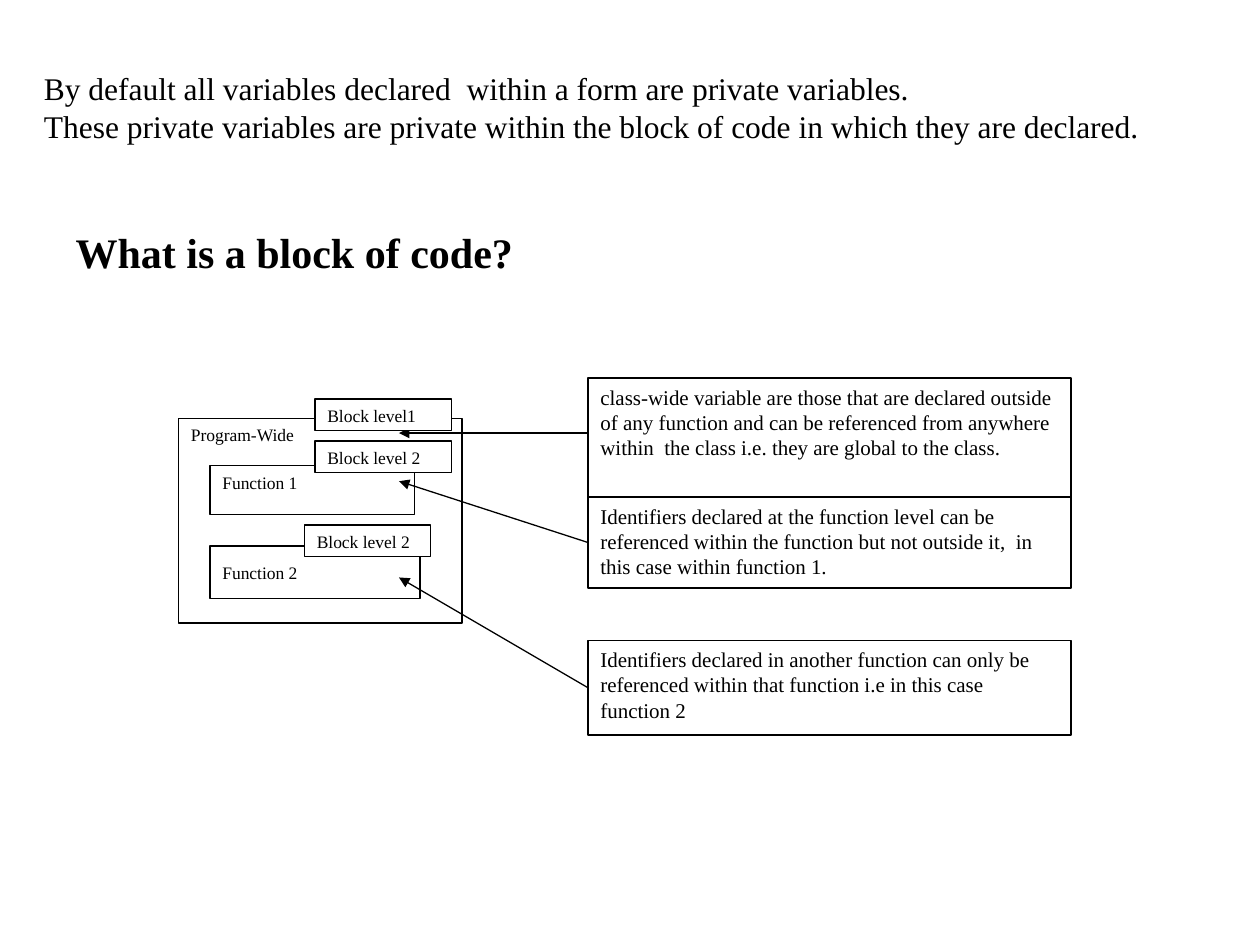
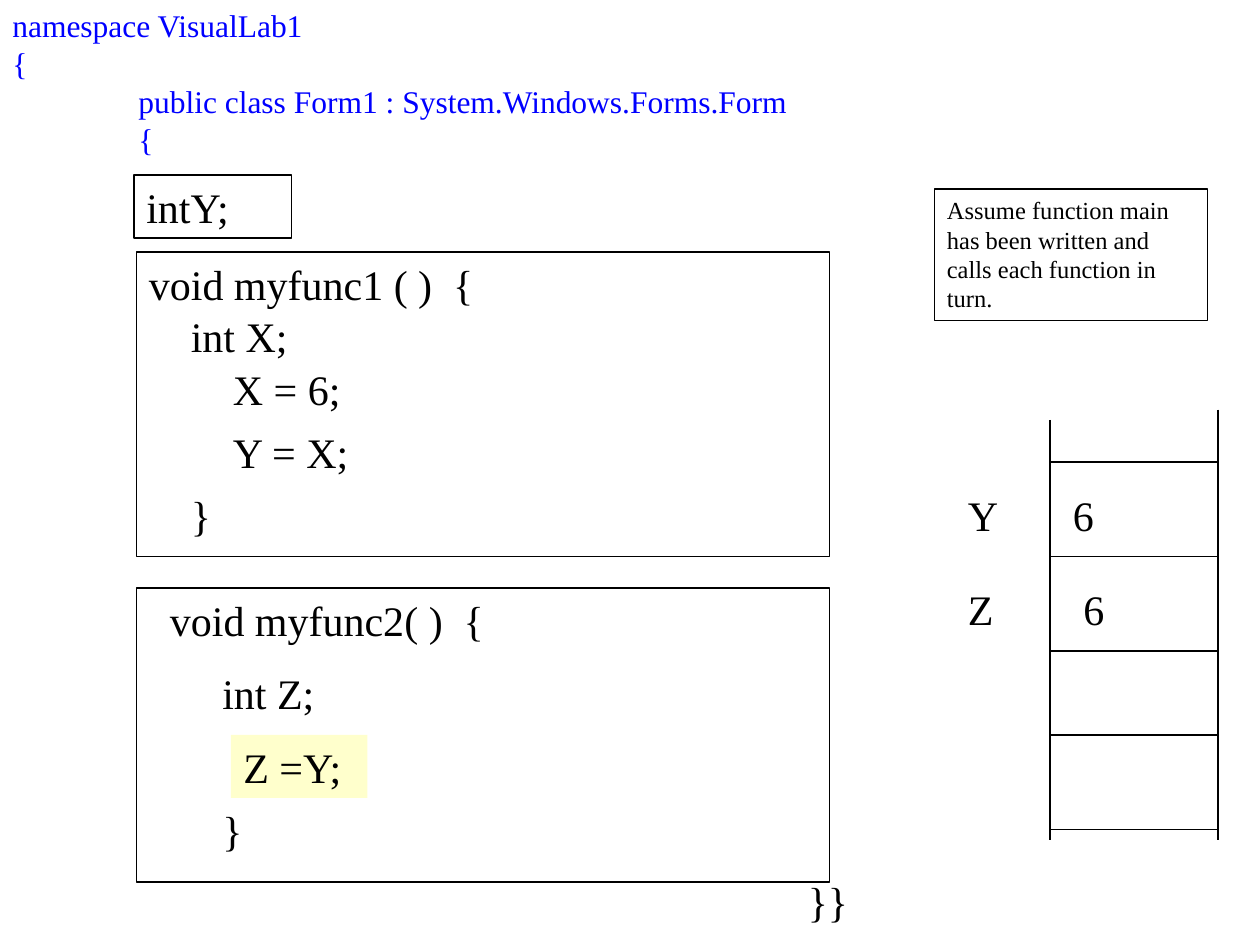
from dataclasses import dataclass
from typing import Optional

from pptx import Presentation
from pptx.dml.color import RGBColor
from pptx.enum.shapes import MSO_CONNECTOR, MSO_SHAPE
from pptx.enum.text import MSO_ANCHOR, MSO_AUTO_SIZE, PP_ALIGN
from pptx.oxml.ns import qn
from pptx.util import Pt
from lxml.etree import SubElement

BLACK = RGBColor(0x00, 0x00, 0x00)
WHITE = RGBColor(0xFF, 0xFF, 0xFF)
BLUE = RGBColor(0x00, 0x00, 0xFF)
CREAM = RGBColor(0xFF, 0xFF, 0xCC)
FONT = "Times New Roman"
THIN = 0.75
LABEL, NOTE, ASIDE, BODY, CODE = 10, 12, 14, 18, 24
TITLE_ONLY, BLANK = 5, 6


@dataclass
class Box:
    """A rectangle with optional text; lengths in points."""
    left: float
    top: float
    width: float
    height: float
    text: str = ""
    size: int = LABEL
    fill: Optional[RGBColor] = None
    line: Optional[RGBColor] = BLACK
    anchor: MSO_ANCHOR = MSO_ANCHOR.TOP


@dataclass
class Label:
    """Free text without fill or outline; lengths in points."""
    left: float
    top: float
    width: float
    text: str
    height: float = 36
    size: int = CODE
    color: RGBColor = BLACK
    wrap: bool = True


@dataclass
class Line:
    x1: float
    y1: float
    x2: float
    y2: float
    arrow: bool = False


def style_text(frame, text: str, size: int, color: RGBColor = BLACK,
               bold: bool = False, tab: Optional[float] = None) -> None:
    frame.text = text
    for para in frame.paragraphs:
        para.alignment = PP_ALIGN.LEFT
        if tab and "\t" in para.text:
            stops = SubElement(para._p.get_or_add_pPr(), qn("a:tabLst"))
            SubElement(stops, qn("a:tab"), pos=str(Pt(tab)), algn="l")
        for run in para.runs:
            run.font.name = FONT
            run.font.size = Pt(size)
            run.font.bold = bold
            run.font.color.rgb = color


def add_box(slide, box: Box):
    shape = slide.shapes.add_shape(
        MSO_SHAPE.RECTANGLE, Pt(box.left), Pt(box.top),
        Pt(box.width), Pt(box.height))
    shape.shadow.inherit = False
    if box.fill is None:
        shape.fill.background()
    else:
        shape.fill.solid()
        shape.fill.fore_color.rgb = box.fill
    if box.line is None:
        shape.line.fill.background()
    else:
        shape.line.color.rgb = box.line
        shape.line.width = Pt(THIN)
    if box.text:
        frame = shape.text_frame
        frame.word_wrap = True
        frame.vertical_anchor = box.anchor
        style_text(frame, box.text, box.size)
    return shape


def add_label(slide, label: Label) -> None:
    shape = slide.shapes.add_textbox(
        Pt(label.left), Pt(label.top), Pt(label.width), Pt(label.height))
    shape.text_frame.word_wrap = label.wrap
    style_text(shape.text_frame, label.text, label.size, label.color, tab=72)


def add_line(slide, line: Line):
    link = slide.shapes.add_connector(
        MSO_CONNECTOR.STRAIGHT, Pt(line.x1), Pt(line.y1),
        Pt(line.x2), Pt(line.y2))
    link.line.color.rgb = BLACK
    link.line.width = Pt(THIN)
    if line.arrow:
        SubElement(link.line._get_or_add_ln(), qn("a:tailEnd"),
                   type="triangle")
    SubElement(link._element.spPr, qn("a:effectLst"))
    return link


def scope_slide(deck) -> None:
    slide = deck.slides.add_slide(deck.slide_layouts[TITLE_ONLY])
    title = slide.shapes.title
    title.left, title.top = Pt(36), Pt(126)
    title.width, title.height = Pt(312), Pt(36)
    frame = title.text_frame
    frame.auto_size = MSO_AUTO_SIZE.NONE
    frame.vertical_anchor = MSO_ANCHOR.TOP
    style_text(frame, "What is a block of code?", CODE, bold=True)

    add_label(slide, Label(
        18, 36, 641,
        "By default all variables declared  within a form are private "
        "variables.\n"
        "These private variables are private within the block of code in "
        "which they are declared.", height=50, size=BODY, wrap=False))

    scopes = [
        Box(102, 239, 162, 117, "Program-Wide", fill=WHITE),
        Box(120, 266, 117, 28, "Function 1", fill=WHITE),
        Box(120, 312, 120, 30, "Function 2", anchor=MSO_ANCHOR.MIDDLE),
    ]
    for scope in scopes:
        add_box(slide, scope)

    # Top and height of each note, and the height its arrow points at
    notes = [
        (216, 68, 247.5,
         "class-wide variable are those that are declared outside of any "
         "function and can be referenced from anywhere within  the class "
         "i.e. they are global to the class."),
        (284, 52, 275,
         "Identifiers declared at the function level can be referenced "
         "within the function but not outside it,  in this case within "
         "function 1."),
        (366, 54, 330,
         "Identifiers declared in another function can only be referenced "
         "within that function i.e in this case function 2"),
    ]
    left, tip = 336, 228
    for top, height, aim, text in notes:
        note = add_box(slide, Box(left, top, 276, height, text, NOTE, WHITE))
        link = add_line(slide, Line(left, aim, tip, aim, arrow=True))
        if aim != 247.5:  # the first arrow is level, off the note's middle
            link.begin_connect(note, 1)

    blocks = [
        Box(180, 228, 78, 18, "Block level1", fill=WHITE),
        Box(180, 252, 78, 18, "Block level 2", fill=WHITE),
        Box(174, 300, 72, 18, "Block level 2", fill=WHITE),
    ]
    for block in blocks:
        add_box(slide, block)


def memory_slide(deck) -> None:
    slide = deck.slides.add_slide(deck.slide_layouts[BLANK])
    boxes = [
        Box(78, 144, 396, 174),
        Box(78, 336, 396, 168),
        Box(76.5, 100, 90, 36, "intY;", CODE),
        Box(132, 420, 78, 36, "Z =Y;", CODE, CREAM, None),
        Box(534, 108, 156, 75,
            "Assume function main has been written and calls each function "
            "in turn.", ASIDE),
    ]
    for box in boxes:
        add_box(slide, box)

    labels = [
        Label(0, 0, 510,
              "namespace VisualLab1\n{\n"
              "\tpublic class Form1 : System.Windows.Forms.Form\n\t{",
              height=94, size=BODY, color=BLUE),
        Label(78, 144, 366, "void myfunc1 ( )  {"),
        Label(96, 174, 216, " int X;"),
        Label(126, 204, 84, "X = 6;"),
        Label(126, 240, 90, "Y = X;"),
        Label(102, 276, 102, "}"),
        Label(90, 336, 366, "void myfunc2( )  {"),
        Label(114, 378, 216, " int Z;"),
        Label(120, 456, 102, "}"),
        Label(454.5, 497, 43, "}}"),
        Label(546, 276, 30, "Y"),
        Label(606, 276, 42, "6"),
        Label(546, 330, 36, "Z"),
        Label(612, 330, 30, "6"),
    ]
    for label in labels:
        add_label(slide, label)

    left, right, foot = 600, 696, 480
    sides = [Line(left, 240, left, foot), Line(right, 234, right, foot)]
    rungs = [Line(left, y, right, y) for y in (264, 318, 372, 420, 474)]
    for line in sides + rungs:
        add_line(slide, line)


def main() -> None:
    deck = Presentation()
    deck.slide_width, deck.slide_height = Pt(720), Pt(540)
    scope_slide(deck)
    memory_slide(deck)
    deck.save("out.pptx")


if __name__ == "__main__":
    main()
